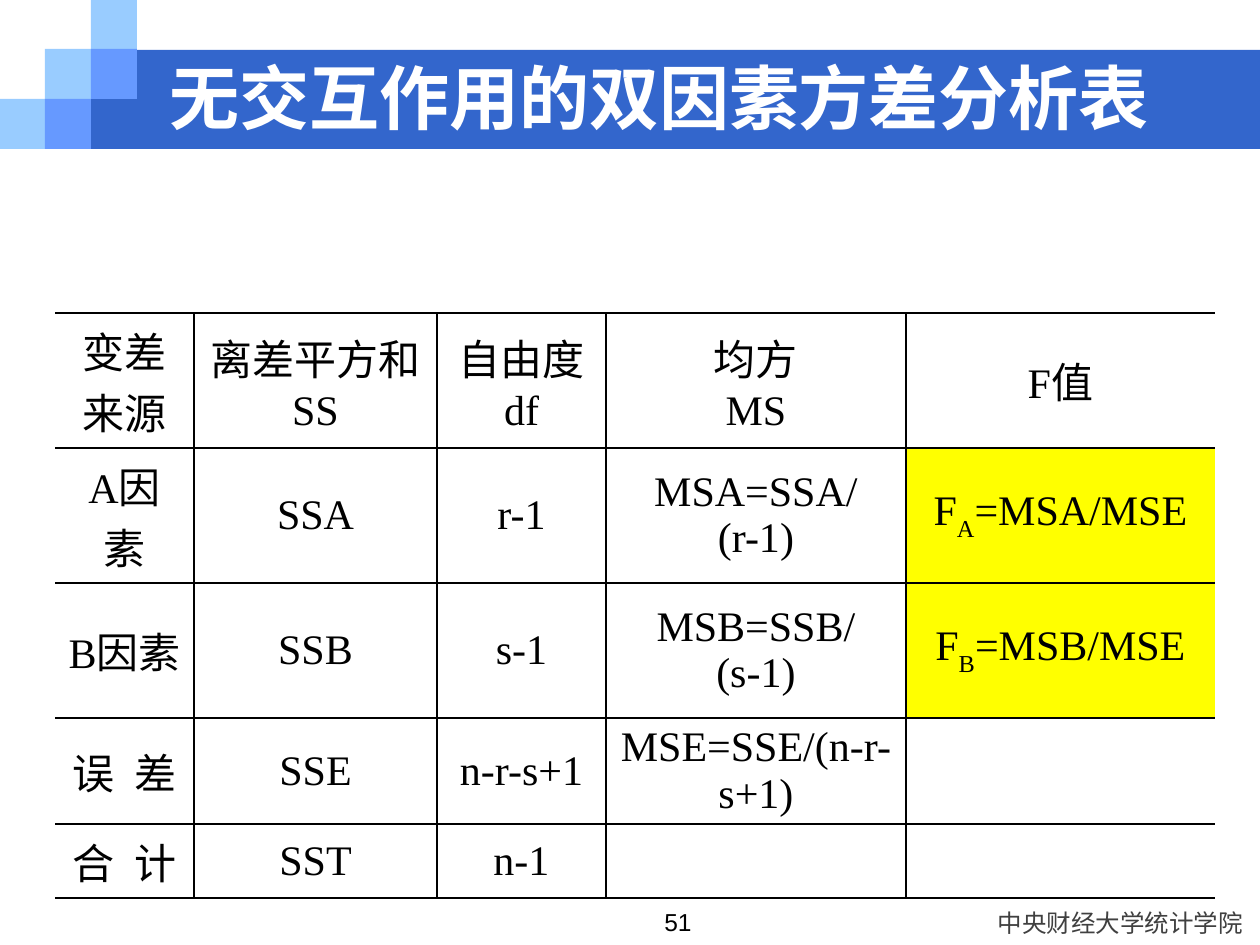
from dataclasses import dataclass

from lxml import etree
from pptx import Presentation
from pptx import util as u
from pptx.dml.color import RGBColor
from pptx.enum import shapes, text
from pptx.oxml import ns

EMU_PER_PX = 914400 / 126

WHITE = RGBColor(0xFF, 0xFF, 0xFF)
BLACK = RGBColor(0x00, 0x00, 0x00)
GREY = RGBColor(0x40, 0x40, 0x40)
BLUE = RGBColor(0x33, 0x66, 0xCC)
MID_BLUE = RGBColor(0x66, 0x99, 0xFF)
LIGHT_BLUE = RGBColor(0x99, 0xCC, 0xFF)
YELLOW = RGBColor(0xFF, 0xFF, 0x00)

SERIF, SANS, CJK = "Times New Roman", "Arial", "Noto Sans CJK SC"


@dataclass(frozen=True)
class Box:
    left: int
    top: int
    width: int
    height: int
    fill: RGBColor = WHITE


@dataclass(frozen=True)
class Entry:
    """One table cell; subscript and tail follow the text on its line."""
    text: str = ""
    subscript: str = ""
    tail: str = ""
    spacing: int = 0
    fill: RGBColor | None = None


@dataclass(frozen=True)
class Label:
    box: Box
    text: str
    font: str
    color: RGBColor
    align: text.PP_ALIGN
    wrap: bool


def px(length: int) -> u.Emu:
    return u.Emu(round(length * EMU_PER_PX))


def place(box: Box) -> tuple[u.Emu, ...]:
    return px(box.left), px(box.top), px(box.width), px(box.height)


def style_run(run, size: int, font: str, color: RGBColor, bold: bool = False) -> None:
    run.font.size = u.Pt(size)
    run.font.bold = bold
    run.font.color.rgb = color
    run.font.name = font
    east_asian = etree.SubElement(run.font._element, ns.qn("a:ea"))
    east_asian.set("typeface", CJK)


def draw_block(slide, box: Box) -> None:
    block = slide.shapes.add_shape(shapes.MSO_SHAPE.RECTANGLE, *place(box))
    block.shadow.inherit = False
    block.fill.solid()
    block.fill.fore_color.rgb = box.fill
    block.line.fill.background()


def draw_label(slide, label: Label) -> None:
    frame = slide.shapes.add_textbox(*place(label.box)).text_frame
    frame.word_wrap = label.wrap
    frame.text = label.text
    frame.paragraphs[0].alignment = label.align
    style_run(frame.paragraphs[0].runs[0], 14, label.font, label.color)


def draw_border(cell, side: str, visible: bool) -> None:
    line = etree.SubElement(cell._tc.get_or_add_tcPr(), ns.qn(f"a:ln{side}"))
    line.set("w", str(u.Pt(1)))
    if visible:
        solid = etree.SubElement(line, ns.qn("a:solidFill"))
        etree.SubElement(solid, ns.qn("a:srgbClr")).set("val", str(BLACK))
    else:
        etree.SubElement(line, ns.qn("a:noFill"))


def fill_cell(cell, entry: Entry) -> None:
    cell.vertical_anchor = text.MSO_ANCHOR.MIDDLE
    if entry.fill:
        cell.fill.solid()
        cell.fill.fore_color.rgb = entry.fill
    else:
        cell.fill.background()
    if not entry.text:
        return
    cell.text_frame.text = entry.text
    if entry.subscript:
        formula = cell.text_frame.paragraphs[0]
        subscript = formula.add_run()
        subscript.text = entry.subscript
        subscript.font._element.set("baseline", "-30000")
        formula.add_run().text = entry.tail
    for paragraph in cell.text_frame.paragraphs:
        paragraph.alignment = text.PP_ALIGN.CENTER
        for run in paragraph.runs:
            style_run(run, 24, SERIF, BLACK)
            if entry.spacing:
                run.font._element.set("spc", str(entry.spacing))


def draw_table(slide, left: int, top: int, widths: list[int],
               heights: list[int], rows: list[list[Entry]]) -> None:
    box = Box(left, top, sum(widths), sum(heights))
    anova = slide.shapes.add_table(len(rows), len(widths), *place(box)).table
    anova.first_row = anova.horz_banding = False
    for column, width in zip(anova.columns, widths):
        column.width = px(width)
    for row, height in zip(anova.rows, heights):
        row.height = px(height)
    last = len(widths) - 1
    for r, entries in enumerate(rows):
        for c, entry in enumerate(entries):
            cell = anova.cell(r, c)
            # The table is open on its left and right sides
            for side, visible in (("L", c > 0), ("R", c < last), ("T", True), ("B", True)):
                draw_border(cell, side, visible)
            fill_cell(cell, entry)


def draw_title(slide, box: Box, wording: str) -> None:
    title = slide.shapes.title
    title.left, title.top, title.width, title.height = place(box)
    frame = title.text_frame
    frame.text = wording
    frame.auto_size = text.MSO_AUTO_SIZE.NONE
    frame.vertical_anchor = text.MSO_ANCHOR.MIDDLE
    frame.paragraphs[0].alignment = text.PP_ALIGN.LEFT
    style_run(frame.paragraphs[0].runs[0], 40, SERIF, WHITE, bold=True)
    # Bring the title in front of the banner
    title.element.getparent().append(title.element)


BANNER = Box(91, 50, 1169, 99, BLUE)
# Column, row and colour of each square in the staircase
STAIRCASE = [(0, 2, LIGHT_BLUE), (1, 1, LIGHT_BLUE), (2, 0, LIGHT_BLUE),
             (2, 1, MID_BLUE), (1, 2, MID_BLUE)]


def factor_row(factor: str, freedom: str) -> list[Entry]:
    return [Entry(f"{factor}因素"), Entry(f"SS{factor}"), Entry(freedom),
            Entry(f"MS{factor}=SS{factor}/({freedom})"),
            Entry("F", factor, f"=MS{factor}/MSE", fill=YELLOW)]


ANOVA_ROWS = [
    [Entry("变差来源"), Entry("离差平方和\nSS"), Entry("自由度\ndf"),
     Entry("均方\nMS"), Entry("F值")],
    factor_row("A", "r-1"),
    factor_row("B", "s-1"),
    [Entry("误 差", spacing=300), Entry("SSE"), Entry("n-r-s+1"),
     Entry("MSE=SSE/(n-r-s+1)"), Entry()],
    [Entry("合 计", spacing=300), Entry("SST"), Entry("n-1"), Entry(), Entry()],
]

FOOTERS = [
    Label(Box(984, 902, 273, 43), "中央财经大学统计学院", CJK, GREY,
          text.PP_ALIGN.CENTER, False),
    Label(Box(410, 901, 294, 44), "51", SANS, BLACK, text.PP_ALIGN.RIGHT, True),
]


def main() -> None:
    deck = Presentation()
    deck.slide_width, deck.slide_height = px(1260), px(945)
    slide = deck.slides.add_slide(deck.slide_layouts[5])

    # Banner with its staircase of squares
    draw_block(slide, BANNER)
    for column, row, color in STAIRCASE:
        draw_block(slide, Box(column * 91 // 2, row * 99 // 2, 46, 50, color))
    draw_title(slide, Box(157, 63, 1018, 67), "无交互作用的双因素方差分析表")

    # Analysis of variance table
    draw_table(slide, 55, 313, [139, 243, 169, 300, 309],
               [135, 135, 135, 106, 74], ANOVA_ROWS)

    # Institute and page number
    for footer in FOOTERS:
        draw_label(slide, footer)

    deck.save("out.pptx")


if __name__ == "__main__":
    main()
